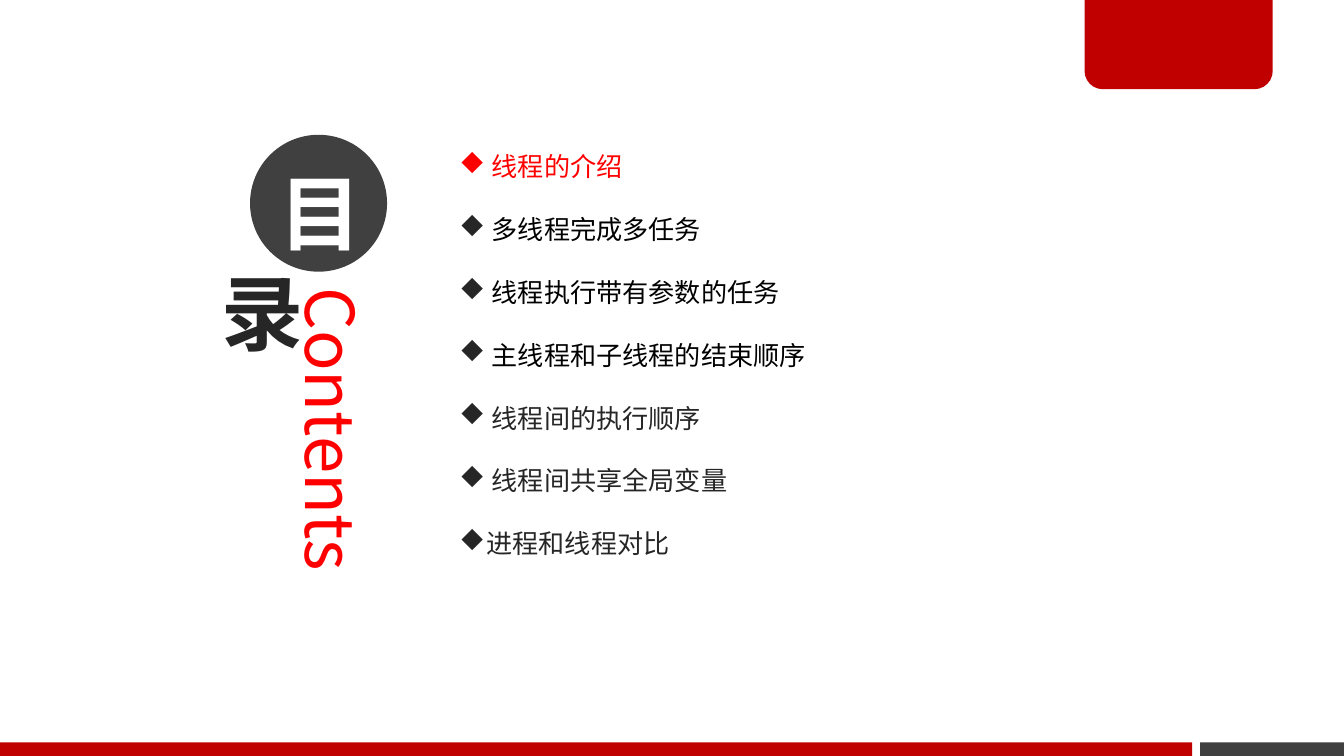
from lxml import etree
from pptx import Presentation
from pptx.dml.color import RGBColor
from pptx.enum.shapes import MSO_SHAPE
from pptx.enum.text import MSO_ANCHOR, PP_ALIGN
from pptx.oxml.ns import qn
from pptx.util import Inches, Pt

RECT, OVAL = MSO_SHAPE.RECTANGLE, MSO_SHAPE.OVAL
TAB = MSO_SHAPE.ROUND_2_SAME_RECTANGLE
MIDDLE, CENTER = MSO_ANCHOR.MIDDLE, PP_ALIGN.CENTER
FONT, BULLET_FONT = "Noto Sans CJK SC", "Wingdings"
COLORS = {
    "crimson": "C00000",
    "red": "FF0000",
    "gray": "404040",
    "ink": "262626",
    "black": "000000",
    "white": "FFFFFF",
}
COLS, ROWS = 100, 56.25
CELL = Inches(0.1)
TOPICS = [
    ("线程的介绍", "red", "red", 0.24),
    ("多线程完成多任务", "black", "ink", 0.24),
    ("线程执行带有参数的任务", "black", "ink", 0.24),
    ("主线程和子线程的结束顺序", "black", "ink", 0.24),
    ("线程间的执行顺序", "ink", "ink", 0.24),
    ("线程间共享全局变量", "ink", "ink", 0.24),
    ("进程和线程对比", "ink", "ink", 0.2),
]


def inside(box, x, y, w, h):
    left, top, width, height = box
    return left + x * width, top + y * height, w * width, h * height


def emu(box):
    return [round(v * CELL) for v in box]


def add_filled(s, kind, box, color=None):
    sp = s.shapes.add_shape(kind, *emu(box))
    sp.shadow.inherit = False
    sp.line.fill.background()
    if color:
        sp.fill.solid()
        sp.fill.fore_color.rgb = RGBColor.from_string(COLORS[color])
    else:
        sp.fill.background()
    return sp


def set_insets(tf, bottom=0.04):
    tf.margin_left = tf.margin_right = Inches(0.07)
    tf.margin_top, tf.margin_bottom = Inches(0.04), Inches(bottom)


def add_run(p, text, size, color, bold=False):
    r = p.add_run()
    r.text = text
    r.font.size, r.font.bold, r.font.name = Pt(size), bold, FONT
    r.font.color.rgb = RGBColor.from_string(COLORS[color])
    etree.SubElement(r._r.get_or_add_rPr(), qn("a:ea"), typeface=FONT)


def add_glyph(sp, text, color, bottom=0.04):
    tf = sp.text_frame
    set_insets(tf, bottom)
    tf.vertical_anchor = MIDDLE
    p = tf.paragraphs[0]
    p.alignment = CENTER
    add_run(p, text, 44, color, True)
    return p


def add_frame(s, box):
    add_filled(s, RECT, inside(box, 0.893, 0.982, 0.107, 0.018), "gray")
    tab = add_filled(s, TAB, inside(box, 0.807, -0.003, 0.14, 0.121), "crimson")
    tab.adjustments[0], tab.adjustments[1] = 0, 0.2
    add_filled(s, RECT, inside(box, 0, 0.982, 0.887, 0.018), "crimson")


def add_heading(s, box):
    label = s.shapes.add_textbox(*emu(inside(box, 0.48, 0.275, 0.493, 0.725)))
    tf = label.text_frame
    tf.word_wrap = True
    set_insets(tf)
    tf._txBody.bodyPr.set("vert", "eaVert")
    add_run(tf.paragraphs[0], "Contents", 36, "red")

    disc = add_filled(s, OVAL, inside(box, 0.282, 0, 0.718, 0.256), "gray")
    add_glyph(disc, "目", "white", 0.15).line_spacing = Pt(70)
    add_glyph(add_filled(s, OVAL, inside(box, 0, 0.231, 0.563, 0.2)), "录", "ink")


def add_bullet(p, color, indent):
    pPr = p._p.get_or_add_pPr()
    pPr.set("marL", str(Inches(indent)))
    pPr.set("indent", str(-Inches(indent)))
    clr = etree.SubElement(pPr, qn("a:buClr"))
    etree.SubElement(clr, qn("a:srgbClr"), val=COLORS[color])
    etree.SubElement(pPr, qn("a:buFont"), typeface=BULLET_FONT, charset="2")
    etree.SubElement(pPr, qn("a:buChar"), char="u")


def add_topics(s, box):
    tf = s.shapes.add_textbox(*emu(box)).text_frame
    tf.word_wrap = True
    for i, (text, color, bullet, indent) in enumerate(TOPICS):
        p = tf.add_paragraph() if i else tf.paragraphs[0]
        p.line_spacing = 2.0
        add_bullet(p, bullet, indent)
        add_run(p, text, 14, color)


def main():
    prs = Presentation()
    prs.slide_width, prs.slide_height = emu((COLS, ROWS))
    s = prs.slides.add_slide(prs.slide_layouts[6])
    add_frame(s, (0, 0, COLS, ROWS))
    add_heading(s, (14.6, 10.03, 14.2, 39.8))
    add_topics(s, (33.2, 8.4, 47.2, 35.7))
    prs.save("out.pptx")


if __name__ == "__main__":
    main()
